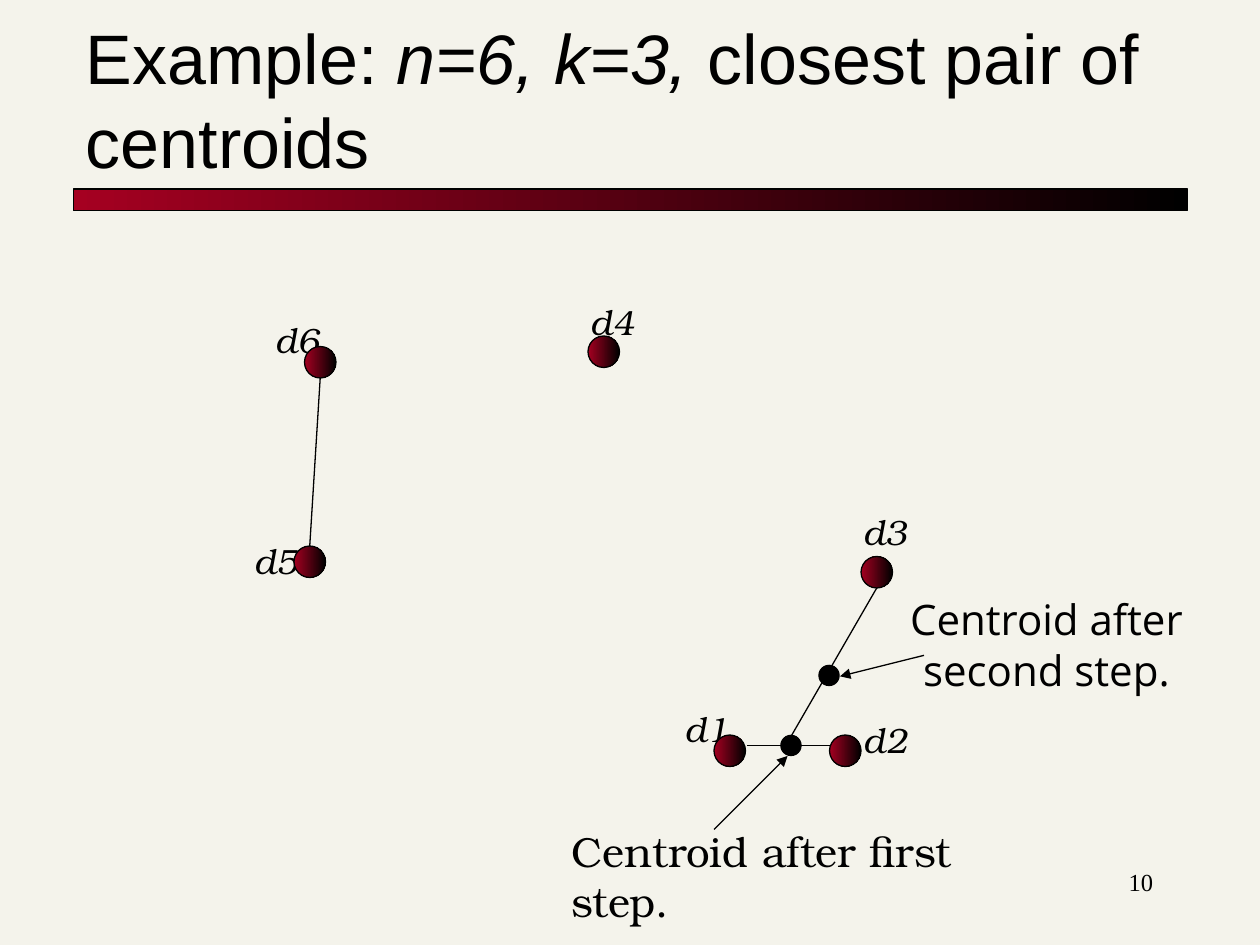
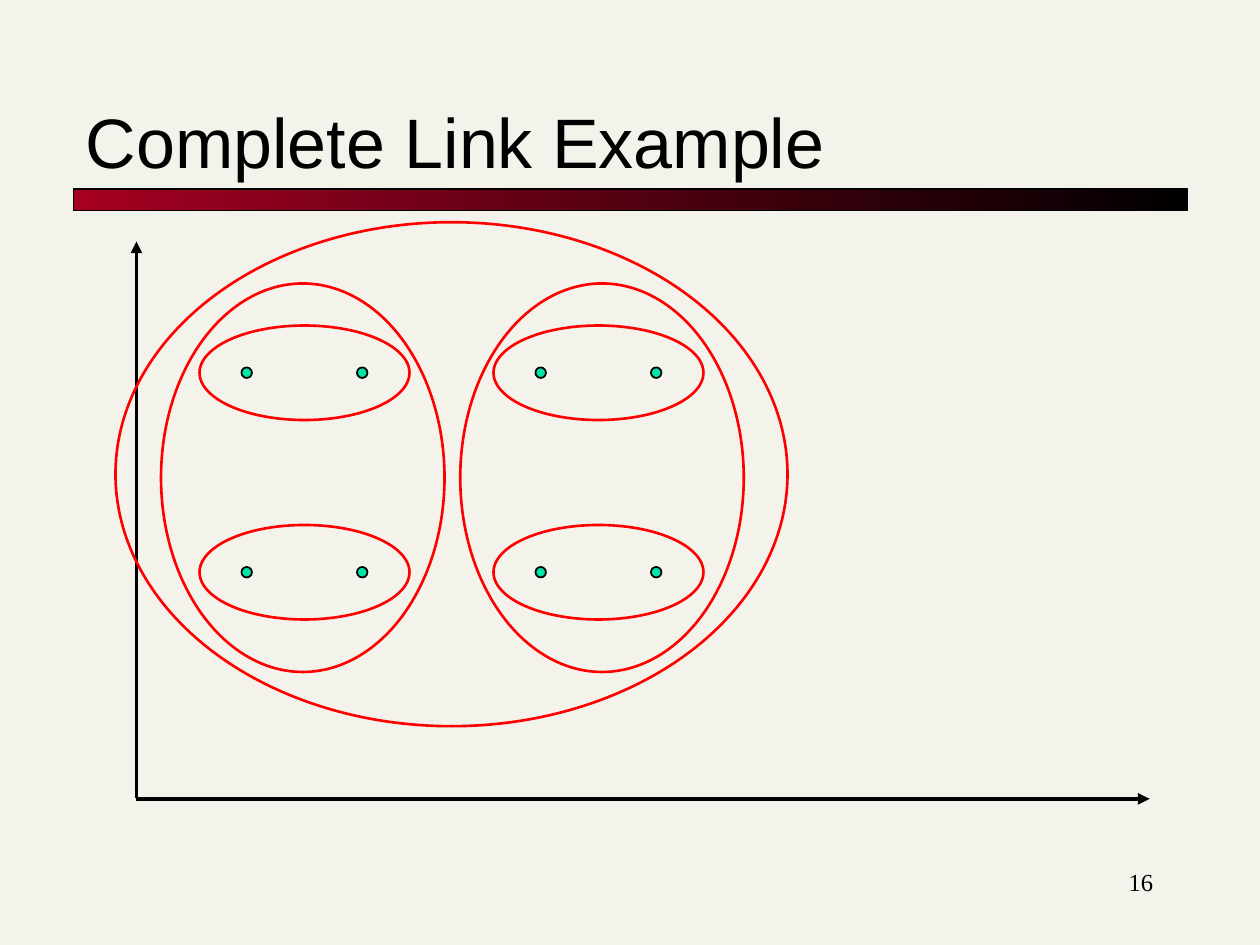
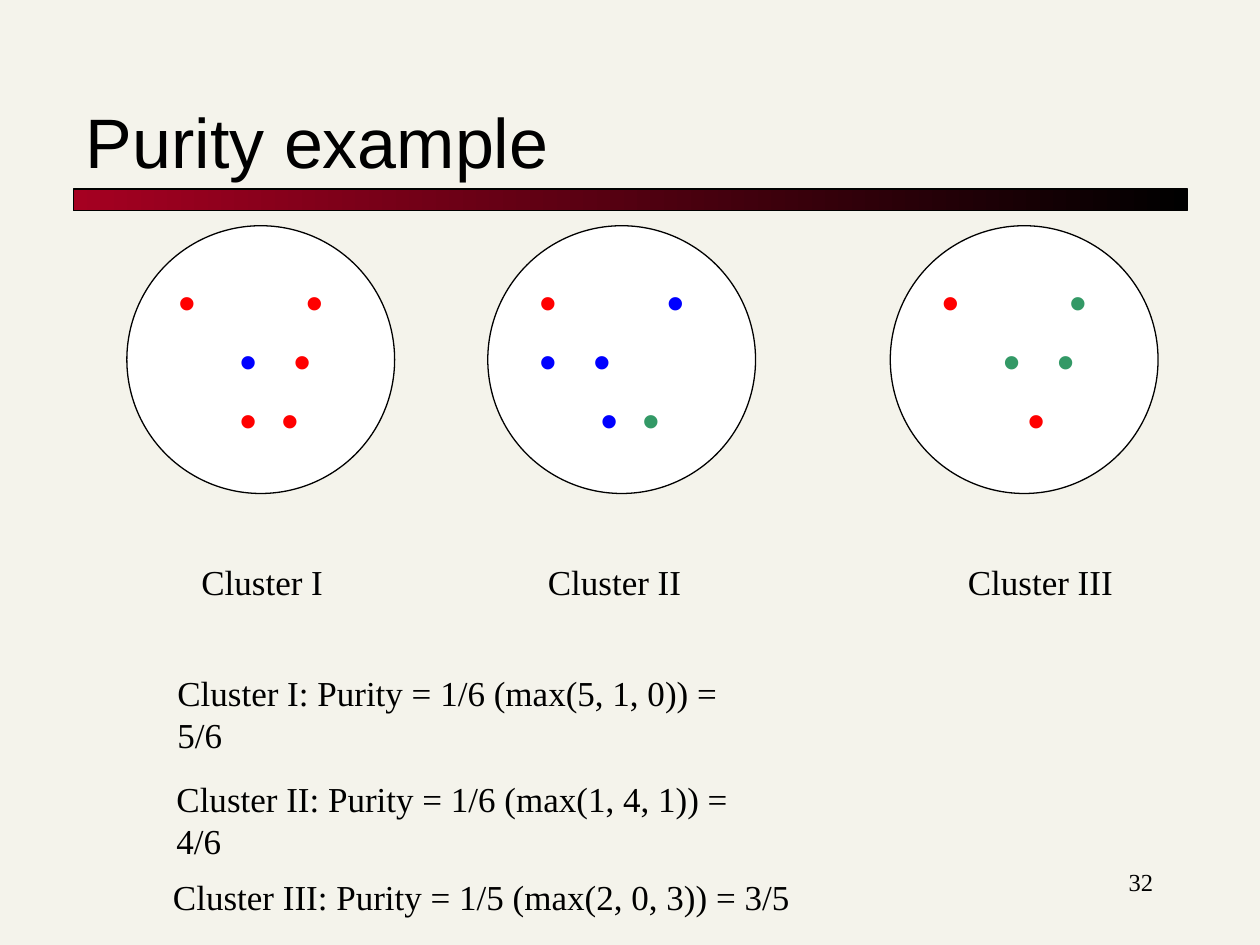
from dataclasses import dataclass
from itertools import product

from lxml import etree
from pptx import Presentation
from pptx.dml.color import RGBColor
from pptx.enum.shapes import MSO_CONNECTOR, MSO_SHAPE
from pptx.enum.text import MSO_ANCHOR, PP_ALIGN
from pptx.oxml.ns import qn
from pptx.shapes.autoshape import Shape
from pptx.slide import Slide
from pptx.util import Pt

RECTANGLE = MSO_SHAPE.RECTANGLE
OVAL = MSO_SHAPE.OVAL
STRAIGHT = MSO_CONNECTOR.STRAIGHT
TOP, MIDDLE, BOTTOM = MSO_ANCHOR.TOP, MSO_ANCHOR.MIDDLE, MSO_ANCHOR.BOTTOM
LEFT, CENTER, RIGHT = PP_ALIGN.LEFT, PP_ALIGN.CENTER, PP_ALIGN.RIGHT

BACKGROUND = "F4F3EB"
BLACK = "000000"
WHITE = "FFFFFF"
CRIMSON = "A50021"
RED = "FF0000"
BLUE = "0000FF"
GREEN = "339966"
MINT = "00E4A8"

SANS = "Arial"
SERIF = "Times New Roman"
BOOK = "TeX Gyre Bonum"
HUMANIST = "Open Sans"

BULLET_WIDTH = 9.8
GAP_UNIT = 7


@dataclass(frozen=True)
class Box:
    left: float
    top: float
    width: float
    height: float


@dataclass(frozen=True)
class TextStyle:
    font: str
    size: float
    italic: bool = False
    align: PP_ALIGN = LEFT
    anchor: MSO_ANCHOR = TOP
    wrap: bool = True


@dataclass(frozen=True)
class Document:
    name: str
    ball: tuple[float, float]
    label: tuple[float, float]


@dataclass(frozen=True)
class Dot:
    """A bullet, set a number of gap units after what precedes it in its row."""
    gap: int
    color: str


@dataclass(frozen=True)
class Cluster:
    name: str
    circle_left: float
    label_left: float
    label_width: float
    rows: tuple[tuple[Dot, ...], ...]


@dataclass(frozen=True)
class Formula:
    text: str
    box: Box
    wrap: bool = False


TITLE_BOX = Box(42, 30, 636, 78)
BAND_BOX = Box(42, 108, 636.5, 12.5)
NUMBER_BOX = Box(516, 492, 150, 36)

TITLE = TextStyle(SANS, 40, anchor=BOTTOM)
NUMBER = TextStyle(SERIF, 14, align=RIGHT)
DOCUMENT_LABEL = TextStyle(BOOK, 20, italic=True)
FIRST_NOTE = TextStyle(BOOK, 24)
SECOND_NOTE = TextStyle(HUMANIST, 24, align=CENTER, anchor=MIDDLE, wrap=False)
BODY = TextStyle(SERIF, 20)
BODY_UNWRAPPED = TextStyle(SERIF, 20, wrap=False)

DOCUMENTS = (
    Document("d1", (408, 420), (384, 401)),
    Document("d2", (474, 420), (486, 407)),
    Document("d3", (492, 318), (486, 288)),
    Document("d4", (336, 192), (330, 168)),
    Document("d5", (168, 312), (138, 304.5)),
    Document("d6", (174, 198), (150, 178.5)),
)

CLUSTERS = (
    Cluster("Cluster I", 72.5, 108, 86, (
        (Dot(0, RED), Dot(9, RED)),
        (Dot(5, BLUE), Dot(3, RED)),
        (Dot(5, RED), Dot(2, RED)),
    )),
    Cluster("Cluster II", 278.75, 306, 105, (
        (Dot(0, RED), Dot(9, BLUE)),
        (Dot(0, BLUE), Dot(3, BLUE)),
        (Dot(5, BLUE), Dot(2, GREEN)),
    )),
    Cluster("Cluster III", 508.75, 546, 100, (
        (Dot(0, RED), Dot(9, GREEN)),
        (Dot(5, GREEN), Dot(3, GREEN)),
        (Dot(7, RED),),
    )),
)

FORMULAS = (
    Formula("Cluster I: Purity = 1/6 (max(5, 1, 0)) = 5/6",
            Box(94.25, 380, 350, 55.5), wrap=True),
    Formula("Cluster II: Purity = 1/6 (max(1, 4, 1)) = 4/6",
            Box(93.75, 440.75, 360, 31.5)),
    Formula("Cluster III: Purity = 1/5 (max(2, 0, 3)) = 3/5",
            Box(91.75, 496.75, 367, 31.5)),
)


def rgb(value: str) -> RGBColor:
    return RGBColor.from_string(value)


def add_text(slide: Slide, box: Box, text: str, style: TextStyle) -> Shape:
    shape = slide.shapes.add_textbox(
        Pt(box.left), Pt(box.top), Pt(box.width), Pt(box.height))
    text_frame = shape.text_frame
    text_frame.text = text
    text_frame.word_wrap = style.wrap
    text_frame.vertical_anchor = style.anchor
    for paragraph in text_frame.paragraphs:
        paragraph.alignment = style.align
        font = paragraph.font
        font.name = style.font
        font.size = Pt(style.size)
        font.italic = style.italic
        font.color.rgb = rgb(BLACK)
    return shape


def add_outlined(slide: Slide, kind: MSO_SHAPE, box: Box, fill: str | None = None,
                 line: str = BLACK, line_width: float = 0.75) -> Shape:
    shape = slide.shapes.add_shape(
        kind, Pt(box.left), Pt(box.top), Pt(box.width), Pt(box.height))
    shape.shadow.inherit = False
    if fill is None:
        shape.fill.background()
    else:
        shape.fill.solid()
        shape.fill.fore_color.rgb = rgb(fill)
    shape.line.color.rgb = rgb(line)
    shape.line.width = Pt(line_width)
    return shape


def add_shaded(slide: Slide, kind: MSO_SHAPE, box: Box) -> None:
    """Add a shape that fades from crimson on the left to black on the right."""
    fill = add_outlined(slide, kind, box).fill
    fill.gradient()
    fill.gradient_angle = 0
    for stop, color in zip(fill.gradient_stops, (CRIMSON, BLACK)):
        stop.color.rgb = rgb(color)


def add_line(slide: Slide, start: tuple[float, float], end: tuple[float, float],
             width: float = 0.75, arrow: bool = False) -> None:
    connector = slide.shapes.add_connector(
        STRAIGHT, Pt(start[0]), Pt(start[1]), Pt(end[0]), Pt(end[1]))
    connector.line.color.rgb = rgb(BLACK)
    connector.line.width = Pt(width)
    properties = connector.element.spPr
    if arrow:
        outline = properties.find(qn("a:ln"))
        etree.SubElement(outline, qn("a:tailEnd"), type="triangle")
    etree.SubElement(properties, qn("a:effectLst"))


def add_base_slide(presentation: Presentation, title: str, number: int) -> tuple[Slide, Shape]:
    """Add a slide with band, title and number; return it with its title."""
    slide = presentation.slides.add_slide(presentation.slide_layouts[6])
    add_shaded(slide, RECTANGLE, BAND_BOX)
    title_shape = add_text(slide, TITLE_BOX, title, TITLE)
    add_text(slide, NUMBER_BOX, str(number), NUMBER)
    return slide, title_shape


def add_centroid_slide(presentation: Presentation) -> None:
    slide, title = add_base_slide(presentation, "Example: ", 10)
    paragraph = title.text_frame.paragraphs[0]
    for text, italic in (("n=6, k=3, ", True), ("closest pair of centroids", False)):
        run = paragraph.add_run()
        run.text = text
        run.font.italic = italic

    for document in DOCUMENTS:
        add_text(slide, Box(*document.label, 42, 32), document.name, DOCUMENT_LABEL)

    add_line(slide, (427, 426), (477.5, 426), width=1)
    add_line(slide, (452.2, 420.5), (501, 336))
    add_line(slide, (183, 216), (177, 312))
    for document in DOCUMENTS:
        add_shaded(slide, OVAL, Box(*document.ball, 18, 18))
    for centroid in ((446.25, 420.25), (468, 380.25)):
        add_outlined(slide, OVAL, Box(*centroid, 11.5, 11.5), BLACK)

    add_line(slide, (408, 474), (450, 432), arrow=True)
    add_line(slide, (528, 374.5), (480, 386.5), arrow=True)
    add_text(slide, Box(319.5, 468, 286.5, 36), "Centroid after first step.", FIRST_NOTE)
    add_text(slide, Box(512, 335.5, 172, 65), "Centroid after\nsecond step.", SECOND_NOTE)


def add_complete_link_slide(presentation: Presentation) -> None:
    slide, _ = add_base_slide(presentation, "Complete Link Example", 16)
    add_line(slide, (78, 456), (78, 138), width=2.25, arrow=True)
    add_line(slide, (78, 456.5), (657, 456.5), width=2.25, arrow=True)

    for left, top in product((138, 204, 306, 372), (210, 324)):
        add_outlined(slide, OVAL, Box(left, top, 6, 6), MINT, line_width=1)

    pairs = [Box(left, top, 120, 54) for left, top in product((114, 282), (186, 300))]
    halves = [Box(left, 162, 162, 222) for left in (92, 263)]
    whole = Box(66, 127, 384, 288)
    for box in (*pairs, *halves, whole):
        add_outlined(slide, OVAL, box, line=RED, line_width=1.5)


def add_dot_rows(circle: Shape, rows: tuple[tuple[Dot, ...], ...]) -> None:
    """Write the rows of bullets, each bullet placed by a tab stop."""
    text_frame = circle.text_frame
    text_frame.word_wrap = True
    text_frame.vertical_anchor = TOP
    for index, row in enumerate(rows):
        paragraph = text_frame.add_paragraph() if index else text_frame.paragraphs[0]
        paragraph.alignment = LEFT
        paragraph.line_spacing = Pt(33.7)
        tab_list = etree.SubElement(paragraph._p.get_or_add_pPr(), qn("a:tabLst"))
        position = 0.0
        for dot in row:
            position += dot.gap * GAP_UNIT
            run = paragraph.add_run()
            run.text = "\t•" if position else "•"
            run.font.name = SANS
            run.font.size = Pt(28)
            run.font.color.rgb = rgb(dot.color)
            if position:
                etree.SubElement(tab_list, qn("a:tab"), pos=str(Pt(position)), algn="l")
            position += BULLET_WIDTH


def add_purity_slide(presentation: Presentation) -> None:
    slide, _ = add_base_slide(presentation, "Purity example", 32)
    for cluster in CLUSTERS:
        circle = add_outlined(slide, OVAL, Box(cluster.circle_left, 129, 153, 153), WHITE)
        add_dot_rows(circle, cluster.rows)
        add_text(slide, Box(cluster.label_left, 317, cluster.label_width, 31.5),
                 cluster.name, BODY)
    for formula in FORMULAS:
        add_text(slide, formula.box, formula.text, BODY if formula.wrap else BODY_UNWRAPPED)


def main() -> None:
    presentation = Presentation()
    presentation.slide_width = Pt(720)
    presentation.slide_height = Pt(540)
    background = presentation.slide_master.background.fill
    background.solid()
    background.fore_color.rgb = rgb(BACKGROUND)
    add_centroid_slide(presentation)
    add_complete_link_slide(presentation)
    add_purity_slide(presentation)
    presentation.save("out.pptx")


if __name__ == "__main__":
    main()
